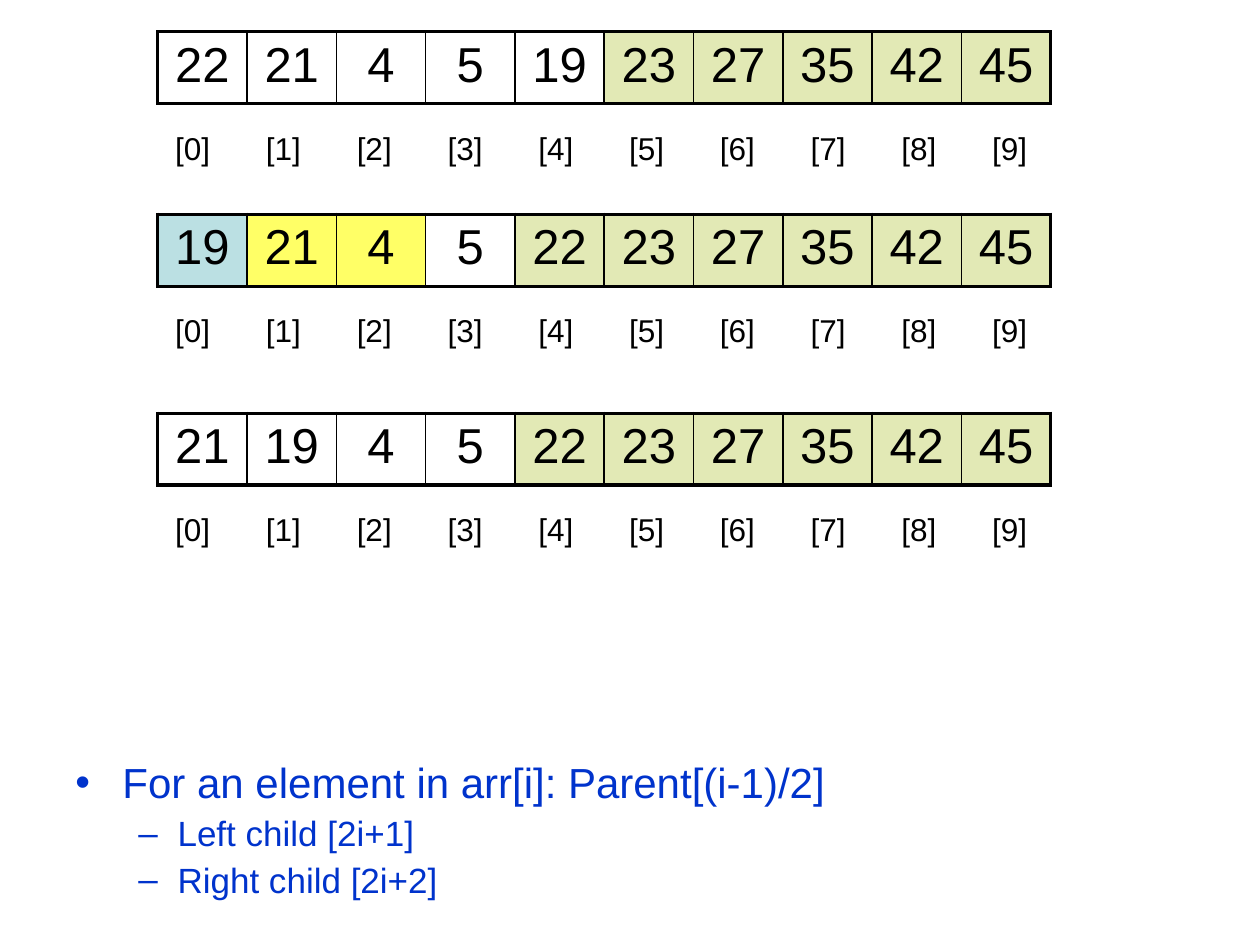
from lxml.etree import SubElement
from pptx import Presentation
from pptx.dml.color import RGBColor
from pptx.enum.text import MSO_ANCHOR, PP_ALIGN
from pptx.oxml.ns import qn
from pptx.util import Cm, Pt

BLACK = RGBColor(0x00, 0x00, 0x00)
BLUE = RGBColor(0x00, 0x33, 0xCC)
SORTED = RGBColor(0xE2, 0xE9, 0xB5)
ROOT = RGBColor(0xBB, 0xE0, 0xE3)
CHILD = RGBColor(0xFF, 0xFF, 0x66)

FONT = "Arial"
NO_STYLE = "{2D5ABB26-0587-4C30-8999-92F81FD0307C}"
THICK = Pt(2.25)
THIN = Pt(1)
INDEX_OFFSET = Cm(1.86)

ARRAYS = [
    (Cm(0.64), [22, 21, 4, 5, 19, 23, 27, 35, 42, 45], [None] * 5 + [SORTED] * 5),
    (Cm(4.32), [19, 21, 4, 5, 22, 23, 27, 35, 42, 45],
     [ROOT, CHILD, CHILD, None] + [SORTED] * 6),
    (Cm(8.33), [21, 19, 4, 5, 22, 23, 27, 35, 42, 45], [None] * 4 + [SORTED] * 6),
]

RULES = [
    ("For an element in arr[i]: Parent[(i-1)/2]", 0),
    ("Left child [2i+1]", 1),
    ("Right child [2i+2]", 1),
]
RULE_LEVELS = [
    ("•", Pt(24), Cm(0.95), Cm(-0.95)),
    ("–", Pt(20), Cm(2.06), Cm(-0.79)),
]


def set_border(cell, side, width):
    line = SubElement(cell._tc.get_or_add_tcPr(), qn(f"a:ln{side}"), w=str(width))
    fill = SubElement(line, qn("a:solidFill"))
    SubElement(fill, qn("a:srgbClr"), val=str(BLACK))


def add_row_table(slide, left, top, column_width, height, texts, size):
    count = len(texts)
    frame = slide.shapes.add_table(1, count, left, top, column_width * count, height)
    table = frame.table
    table.first_row = False
    table.horz_banding = False
    table._tbl.tblPr.find(qn("a:tableStyleId")).text = NO_STYLE
    table.rows[0].height = height
    for column, text in enumerate(texts):
        table.columns[column].width = column_width
        cell = table.cell(0, column)
        cell.text = text
        paragraph = cell.text_frame.paragraphs[0]
        paragraph.alignment = PP_ALIGN.CENTER
        paragraph.font.name = FONT
        paragraph.font.size = size
        paragraph.font.color.rgb = BLACK
    return list(table.iter_cells())


def add_array(slide, top, values, fills):
    texts = [str(value) for value in values]
    cells = add_row_table(slide, Cm(3.18), top, Cm(1.8), Cm(1.45), texts, Pt(28))
    for cell, fill in zip(cells, fills):
        set_border(cell, "L", THICK if cell is cells[0] else THIN)
        set_border(cell, "R", THICK if cell is cells[-1] else THIN)
        set_border(cell, "T", THICK)
        set_border(cell, "B", THICK)
        if fill is None:
            cell.fill.background()
        else:
            cell.fill.solid()
            cell.fill.fore_color.rgb = fill


def add_indices(slide, top, count):
    texts = [f"[{index}]" for index in range(count)]
    cells = add_row_table(slide, Cm(2.97), top, Cm(1.83), Cm(1.02), texts, Pt(18))
    for cell in cells:
        cell.vertical_anchor = MSO_ANCHOR.MIDDLE
        cell.fill.background()


def add_rules(slide):
    text_box = slide.shapes.add_textbox(Cm(1.27), Cm(15.24), Cm(22.86), Cm(3.18))
    text_frame = text_box.text_frame
    text_frame.word_wrap = True
    for number, (text, level) in enumerate(RULES):
        paragraph = text_frame.add_paragraph() if number else text_frame.paragraphs[0]
        bullet, size, margin, indent = RULE_LEVELS[level]
        paragraph.text = text
        paragraph.level = level
        properties = paragraph._p.get_or_add_pPr()
        properties.set("marL", str(margin))
        properties.set("indent", str(indent))
        SubElement(properties, qn("a:buFont"), typeface=FONT)
        SubElement(properties, qn("a:buChar"), char=bullet)
        paragraph.line_spacing = 0.9
        if number:
            paragraph.space_before = Pt(5)
        paragraph.font.name = FONT
        paragraph.font.size = size
        paragraph.font.color.rgb = BLUE


def main():
    presentation = Presentation()
    presentation.slide_width = Cm(25.4)
    presentation.slide_height = Cm(19.05)
    slide = presentation.slides.add_slide(presentation.slide_layouts[6])
    for top, values, fills in ARRAYS:
        add_array(slide, top, values, fills)
        add_indices(slide, top + INDEX_OFFSET, len(values))
    add_rules(slide)
    presentation.save("out.pptx")


if __name__ == "__main__":
    main()
